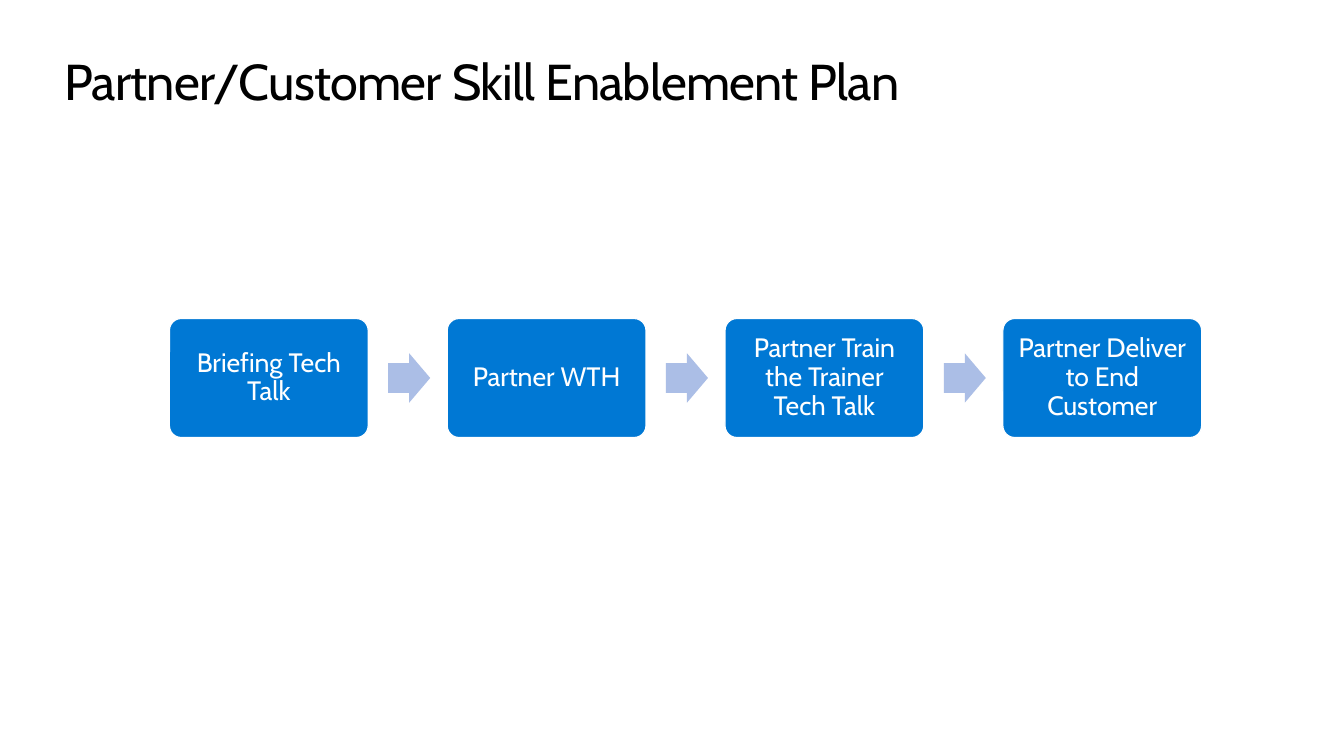
from pptx import Presentation
from pptx.dml.color import RGBColor as RGB
from pptx.enum.shapes import MSO_SHAPE as SHAPE
from pptx.enum.text import MSO_ANCHOR as ANCHOR, PP_ALIGN as ALIGN
from pptx.util import Pt

TITLE = "Partner/Customer Skill Enablement Plan"
STEPS = [
    "Briefing Tech Talk",
    "Partner WTH",
    "Partner Train the Trainer Tech Talk",
    "Partner Deliver to End Customer",
]

THEME = {
    "font": "Cabin",
    "title_size": 36,
    "step_size": 19,
    "title": RGB.from_string("000000"),
    "step": RGB.from_string("0078D4"),
    "arrow": RGB.from_string("ABBEE6"),
    "white": RGB.from_string("FFFFFF"),
}

SLIDE_W, SLIDE_H = 960, 540
TITLE_BOX = (46, 36, 868, 44)
ROW_LEFT, ROW_MIDDLE, PITCH = 121, 270, 198.45
STEP_W, STEP_H = 142, 85
ARROW_W, ARROW_H, ARROW_OFFSET = 30, 35.3, 156.3


def apply(target, **values):
    for name, value in values.items():
        setattr(target, name, value)


def write(sp, text, size, color, inset, anchor, **paragraph):
    tf = sp.text_frame
    apply(tf, word_wrap=True, vertical_anchor=anchor,
          margin_left=Pt(inset), margin_right=Pt(inset),
          margin_top=Pt(inset), margin_bottom=Pt(inset))
    p = tf.paragraphs[0]
    apply(p, **paragraph)
    r = p.add_run()
    r.text = text
    apply(r.font, name=THEME["font"], size=Pt(size))
    r.font.color.rgb = color
    return r


def add_block(s, kind, left, width, height, fill, adjustments):
    sp = s.shapes.add_shape(kind, Pt(left), Pt(ROW_MIDDLE - height / 2),
                            Pt(width), Pt(height))
    sp.shadow.inherit = False
    sp.fill.solid()
    sp.fill.fore_color.rgb = fill
    sp.line.fill.background()
    for i, value in enumerate(adjustments):
        sp.adjustments[i] = value
    return sp


def main():
    prs = Presentation()
    apply(prs, slide_width=Pt(SLIDE_W), slide_height=Pt(SLIDE_H))
    s = prs.slides.add_slide(prs.slide_layouts[6])

    title = s.shapes.add_textbox(*map(Pt, TITLE_BOX))
    r = write(title, TITLE, THEME["title_size"], THEME["title"], 0,
              ANCHOR.TOP, alignment=ALIGN.LEFT)
    r.font._element.set("spc", "-50")

    for i, step in enumerate(STEPS):
        left = ROW_LEFT + i * PITCH
        sp = add_block(s, SHAPE.ROUNDED_RECTANGLE, left, STEP_W, STEP_H,
                       THEME["step"], [0.1])
        sp.line.color.rgb = THEME["white"]
        sp.line.width = Pt(0.85)
        write(sp, step, THEME["step_size"], THEME["white"], 7.5,
              ANCHOR.MIDDLE, alignment=ALIGN.CENTER, line_spacing=0.9,
              space_after=Pt(0.35 * THEME["step_size"]))
        if i < len(STEPS) - 1:
            add_block(s, SHAPE.RIGHT_ARROW, left + ARROW_OFFSET, ARROW_W,
                      ARROW_H, THEME["arrow"], [0.6, 0.5])

    prs.save("out.pptx")


if __name__ == "__main__":
    main()
